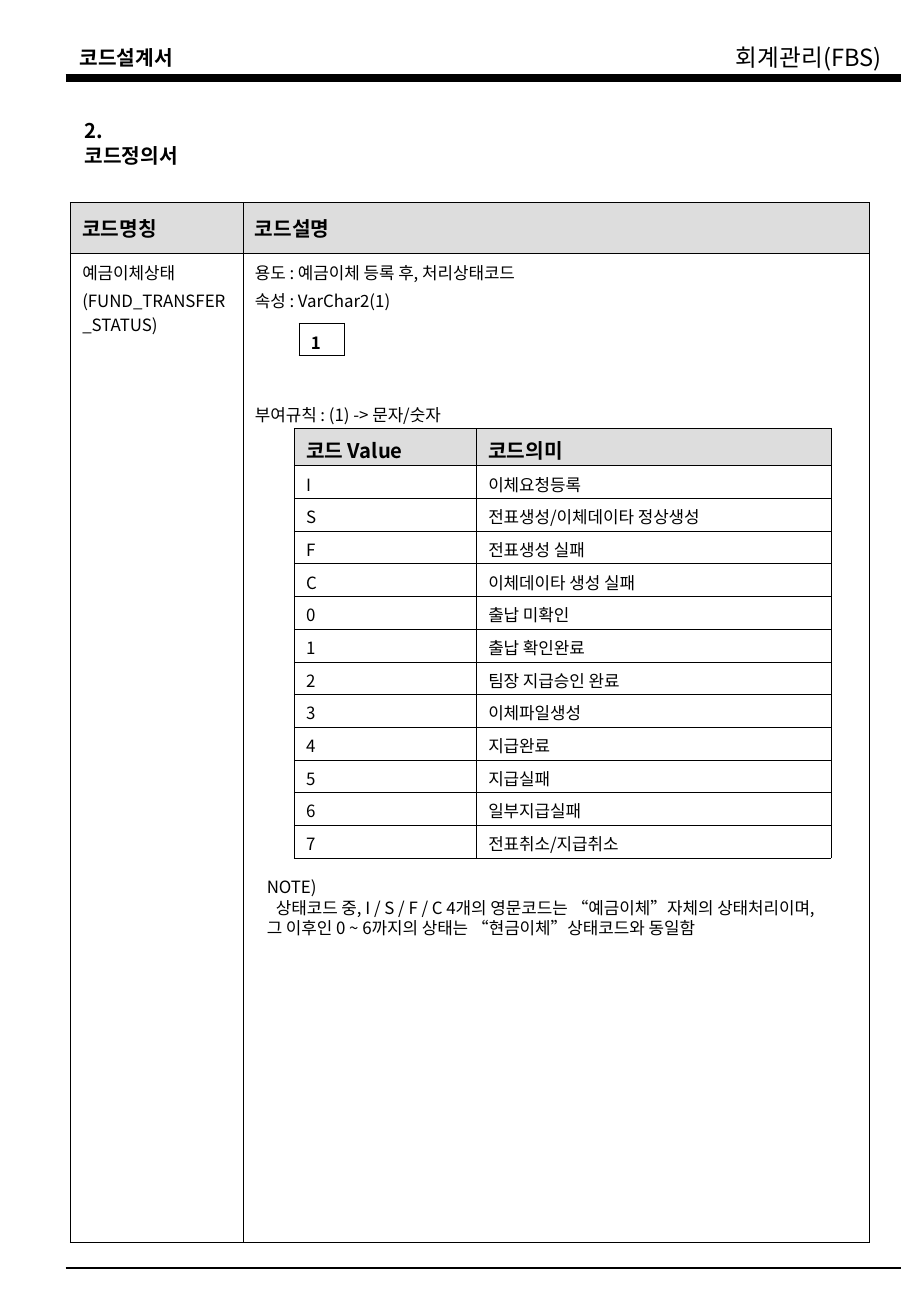
from dataclasses import dataclass

from lxml import etree
from pptx import Presentation
from pptx.dml.color import RGBColor
from pptx.enum.shapes import MSO_CONNECTOR
from pptx.enum.text import MSO_ANCHOR, MSO_AUTO_SIZE, PP_ALIGN
from pptx.oxml.ns import qn
from pptx.util import Cm, Pt

STRAIGHT = MSO_CONNECTOR.STRAIGHT
TOP, MIDDLE = MSO_ANCHOR.TOP, MSO_ANCHOR.MIDDLE
NO_AUTOSIZE = MSO_AUTO_SIZE.NONE
LEFT = PP_ALIGN.LEFT

COLORS = {"ink": "000000", "header": "DDDDDD"}
FONT = "Noto Sans CJK KR"
TEXT_LEADING = 1.22
CELL_LEADING = 1.43
HEADER_RULE = 0.45
INSET_X, INSET_Y = 0.25, 0.13


@dataclass
class Para:
    text: str
    size: float = 10
    bold: bool = False
    before: float = 0
    indent: float = 0


@dataclass
class Label:
    left: float
    top: float
    width: float
    height: float
    paras: list[Para]
    wrap: bool = False


@dataclass
class Rule:
    y: float
    weight: float


@dataclass
class Grid:
    left: float
    top: float
    cols: list[float]
    rows: list[float]
    cells: list[list[list[Para]]]
    outer: float = 0.45
    horizontal: float = 0.45
    bottom_inset: float = 0
    header: bool = True


def write(tf, paras: list[Para], leading: float) -> None:
    for i, para in enumerate(paras):
        p = tf.paragraphs[0] if i == 0 else tf.add_paragraph()
        p.alignment = LEFT
        p.line_spacing = Pt(round(para.size * leading, 1))
        p.space_before = Pt(para.before)
        if para.indent:
            p._p.get_or_add_pPr().set("indent", str(Cm(para.indent)))
        r = p.add_run()
        r.text = para.text
        r.font.size = Pt(para.size)
        r.font.bold = para.bold
        r.font.color.rgb = RGBColor.from_string(COLORS["ink"])
        r.font.name = FONT
        etree.SubElement(r._r.get_or_add_rPr(), qn("a:ea"), typeface=FONT)


def fill_label(s, label: Label) -> None:
    s.left, s.top = Cm(label.left), Cm(label.top)
    s.width, s.height = Cm(label.width), Cm(label.height)
    tf = s.text_frame
    tf.auto_size = NO_AUTOSIZE
    tf.word_wrap = label.wrap
    tf.vertical_anchor = TOP
    tf.margin_left = tf.margin_right = Cm(INSET_X)
    tf.margin_top = tf.margin_bottom = Cm(INSET_Y)
    write(tf, label.paras, TEXT_LEADING)


def draw_label(slide, label: Label) -> None:
    fill_label(slide.shapes.add_textbox(0, 0, 0, 0), label)


def draw_rule(slide, rule: Rule) -> None:
    y = Cm(rule.y)
    s = slide.shapes.add_connector(STRAIGHT, Cm(1.37), y, Cm(18.85), y)
    s.line.color.rgb = RGBColor.from_string(COLORS["ink"])
    s.line.width = Pt(rule.weight)
    etree.SubElement(s._element.spPr, qn("a:effectLst"))


def set_border(cell, side: str, weight: float) -> None:
    ln = etree.SubElement(cell._tc.get_or_add_tcPr(), qn(f"a:ln{side}"), w=str(Pt(weight)))
    fill = etree.SubElement(ln, qn("a:solidFill"))
    etree.SubElement(fill, qn("a:srgbClr"), val=COLORS["ink"])


def draw_grid(slide, grid: Grid) -> None:
    n_rows, n_cols = len(grid.rows), len(grid.cols)
    table = slide.shapes.add_table(n_rows, n_cols, Cm(grid.left), Cm(grid.top),
                                   Cm(sum(grid.cols)), Cm(sum(grid.rows))).table
    table.first_row = table.horz_banding = False
    for column, width in zip(table.columns, grid.cols):
        column.width = Cm(width)
    for row, height in zip(table.rows, grid.rows):
        row.height = Cm(height)

    def row_edge(index: int) -> float:
        if index in (0, n_rows):
            return grid.outer
        return HEADER_RULE if index == 1 else grid.horizontal

    def col_edge(index: int) -> float:
        return grid.outer if index in (0, n_cols) else HEADER_RULE

    for i, row in enumerate(grid.cells):
        for j, paras in enumerate(row):
            cell = table.cell(i, j)
            set_border(cell, "L", col_edge(j))
            set_border(cell, "R", col_edge(j + 1))
            set_border(cell, "T", row_edge(i))
            set_border(cell, "B", row_edge(i + 1))
            if i == 0 and grid.header:
                cell.fill.solid()
                cell.fill.fore_color.rgb = RGBColor.from_string(COLORS["header"])
            else:
                cell.fill.background()
            cell.vertical_anchor = MIDDLE if i == 0 else TOP
            cell.margin_left = cell.margin_right = Cm(INSET_X)
            cell.margin_top = Cm(INSET_Y)
            cell.margin_bottom = Cm(grid.bottom_inset)
            write(cell.text_frame, paras, CELL_LEADING)


def header_row(*names: str) -> list[list[Para]]:
    return [[Para(name, 12, True)] for name in names]


TITLE = Label(1.52, 2.34, 2.79, 0.76, [Para("2. 코드정의서", 12, True)], wrap=True)
LABELS = [
    Label(1.42, 0.81, 2.44, 0.76, [Para("코드설계서", 12, True)]),
    Label(15.14, 0.76, 3.68, 0.86, [Para("회계관리(FBS)", 14)]),
]
NOTE = Label(5.33, 18.21, 12.09, 1.96, [
    Para("NOTE)"),
    Para("상태코드 중, I / S / F / C 4개의 영문코드는 “예금이체”자체의 상태처리이며, "
         "그 이후인 0 ~ 6까지의 상태는 “현금이체”상태코드와 동일함", indent=0.19),
], wrap=True)
RULES = [Rule(1.63, 4.5), Rule(26.52, 1)]
CODES = [
    ("I", "이체요청등록"),
    ("S", "전표생성/이체데이타 정상생성"),
    ("F", "전표생성 실패"),
    ("C", "이체데이타 생성 실패"),
    ("0", "출납 미확인"),
    ("1", "출납 확인완료"),
    ("2", "팀장 지급승인 완료"),
    ("3", "이체파일생성"),
    ("4", "지급완료"),
    ("5", "지급실패"),
    ("6", "일부지급실패"),
    ("7", "전표취소/지급취소"),
]
DEFINITION = Grid(1.47, 4.24, [3.61, 13.11], [1.07, 20.68], [
    header_row("코드명칭", "코드설명"),
    [
        [Para("예금이체상태"), Para("(FUND_TRANSFER_STATUS)", before=2.5)],
        [Para("용도 : 예금이체 등록 후, 처리상태코드"),
         Para("속성 : VarChar2(1)", before=2.5),
         Para("부여규칙 : (1) -> 문자/숫자", before=53)],
    ],
], outer=0.75, bottom_inset=INSET_Y)
CODE_VALUES = Grid(
    6.15, 8.97, [3.81, 7.42], [0.77] + [8.21 / len(CODES)] * len(CODES),
    [header_row("코드 Value", "코드의미")] + [[[Para(t)] for t in code] for code in CODES],
    horizontal=0.34)
DIGIT = Grid(6.25, 6.76, [0.95], [0.68], [[[Para("1", bold=True)]]], header=False)


def main() -> None:
    prs = Presentation()
    prs.slide_width, prs.slide_height = Cm(19.05), Cm(27.53)
    slide = prs.slides.add_slide(prs.slide_layouts[5])
    fill_label(slide.shapes.title, TITLE)
    for label in LABELS:
        draw_label(slide, label)
    for rule in RULES:
        draw_rule(slide, rule)
    for grid in (DEFINITION, CODE_VALUES, DIGIT):
        draw_grid(slide, grid)
    draw_label(slide, NOTE)
    prs.save("out.pptx")


if __name__ == "__main__":
    main()
